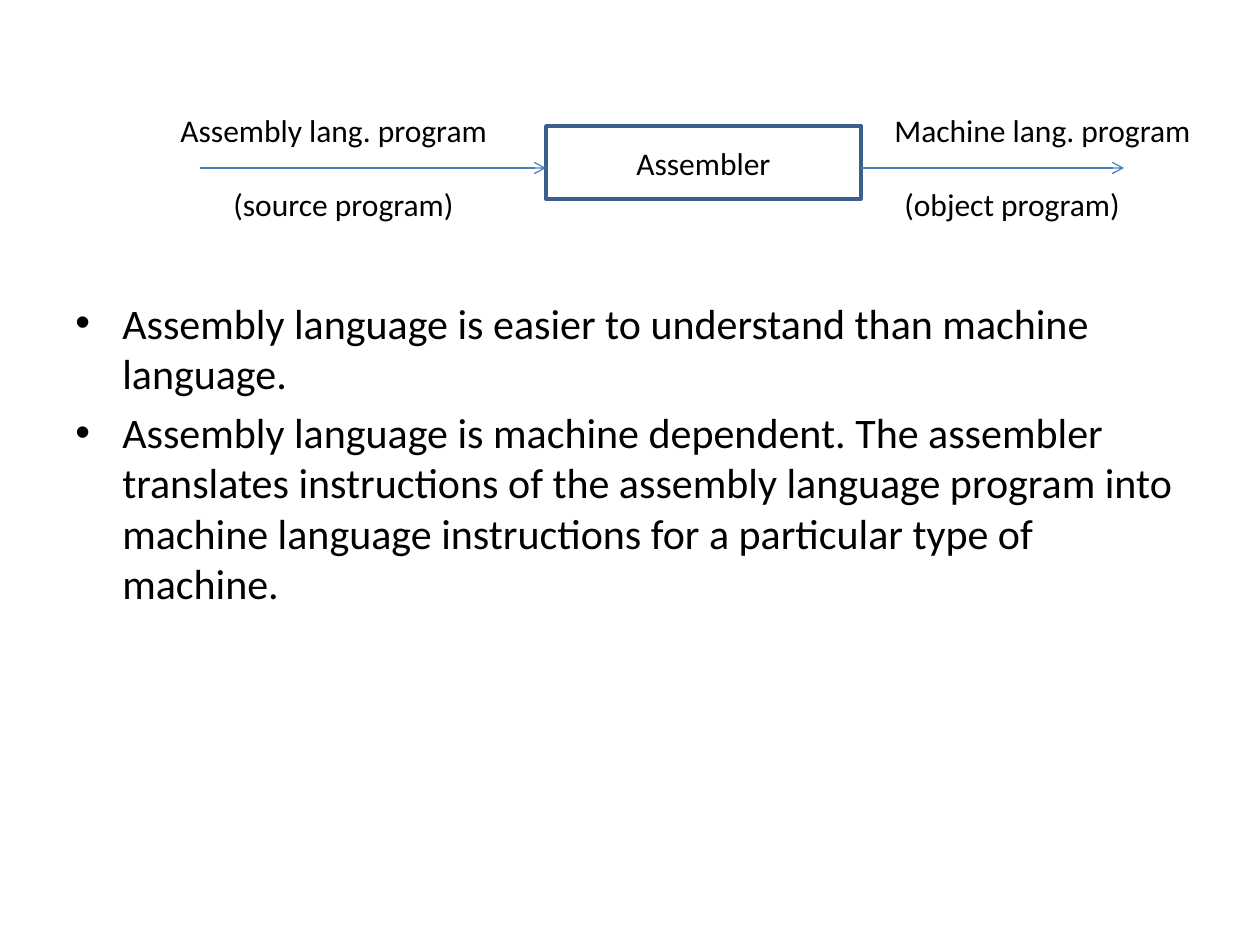
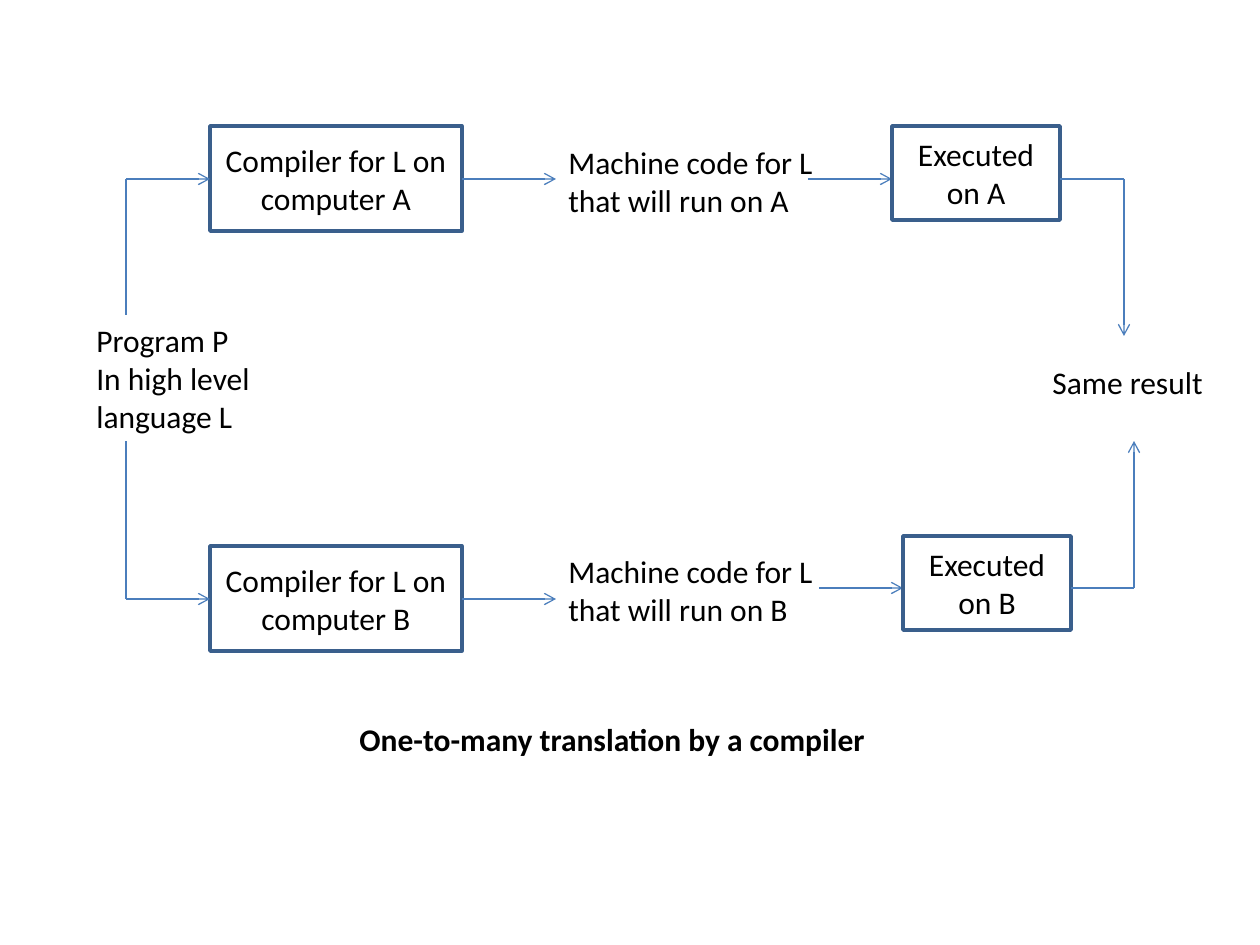
from dataclasses import dataclass

from lxml import etree
from pptx import Presentation
from pptx.dml.color import RGBColor
from pptx.enum.shapes import MSO_CONNECTOR, MSO_SHAPE
from pptx.enum.text import MSO_ANCHOR, PP_ALIGN
from pptx.oxml.ns import qn
from pptx.util import Emu, Pt

EMU_PER_PX = 914400 / 126
FONT = "Calibri"
TEXT, PAPER, BORDER, ARROW = "000000", "FFFFFF", "3A5F8C", "4B7EBC"
LABEL_SIZE, BODY_SIZE = 18, 24
LABEL_HEIGHT = 50
BULLET_INDENT = 47


@dataclass(frozen=True)
class Box:
    text: str
    x: int
    y: int
    w: int
    h: int


@dataclass(frozen=True)
class Label:
    text: str
    x: int
    y: int
    w: int
    h: int = LABEL_HEIGHT
    bold: bool = False


@dataclass(frozen=True)
class Line:
    x1: int
    y1: int
    x2: int
    y2: int
    arrow: bool = True


def px(value: float) -> Emu:
    return Emu(round(value * EMU_PER_PX))


def color(hex_code: str) -> RGBColor:
    return RGBColor.from_string(hex_code)


def write(frame, text: str, size: int = LABEL_SIZE, bold: bool = False) -> None:
    """Fill a text frame, one paragraph per line of text."""
    frame.word_wrap = True
    for i, line in enumerate(text.split("\n")):
        paragraph = frame.paragraphs[0] if i == 0 else frame.add_paragraph()
        run = paragraph.add_run()
        run.text = line
        run.font.name = FONT
        run.font.size = Pt(size)
        run.font.bold = bold
        run.font.color.rgb = color(TEXT)


def draw_box(slide, box: Box) -> None:
    shape = slide.shapes.add_shape(
        MSO_SHAPE.RECTANGLE, px(box.x), px(box.y), px(box.w), px(box.h))
    shape.shadow.inherit = False
    shape.fill.solid()
    shape.fill.fore_color.rgb = color(PAPER)
    shape.line.color.rgb = color(BORDER)
    shape.line.width = Pt(2)
    write(shape.text_frame, box.text)
    shape.text_frame.vertical_anchor = MSO_ANCHOR.MIDDLE
    for paragraph in shape.text_frame.paragraphs:
        paragraph.alignment = PP_ALIGN.CENTER


def draw_label(slide, label: Label) -> None:
    shape = slide.shapes.add_textbox(
        px(label.x), px(label.y), px(label.w), px(label.h))
    write(shape.text_frame, label.text, bold=label.bold)


def draw_line(slide, line: Line) -> None:
    connector = slide.shapes.add_connector(
        MSO_CONNECTOR.STRAIGHT,
        px(line.x1), px(line.y1), px(line.x2), px(line.y2))
    connector.line.color.rgb = color(ARROW)
    connector.line.width = Pt(0.75)
    if line.arrow:
        outline = connector.line._get_or_add_ln()
        etree.SubElement(outline, qn("a:tailEnd")).set("type", "arrow")
    etree.SubElement(connector._element.spPr, qn("a:effectLst"))


def draw_bullets(slide, items: list[str], x: int, y: int, w: int, h: int) -> None:
    frame = slide.shapes.add_textbox(px(x), px(y), px(w), px(h)).text_frame
    write(frame, "\n".join(items), BODY_SIZE)
    for paragraph in frame.paragraphs:
        paragraph.space_before = Pt(BODY_SIZE * 0.2)
        props = paragraph._p.get_or_add_pPr()
        props.set("marL", str(px(BULLET_INDENT)))
        props.set("indent", str(-px(BULLET_INDENT)))
        etree.SubElement(props, qn("a:buFont")).set("typeface", "Arial")
        etree.SubElement(props, qn("a:buChar")).set("char", "•")


DRAW = {Box: draw_box, Label: draw_label, Line: draw_line}


def draw_all(slide, parts: list[Box | Label | Line]) -> None:
    for part in parts:
        DRAW[type(part)](slide, part)


def compiler_row(computer: str, compiler_y: int, flow_y: int, code_y: int,
                 run_x: int, run_y: int, run_flow_y: int,
                 result_x: int, result_y: int) -> list[Box | Label | Line]:
    """One path from the program through a computer to the result."""
    run_w = 168
    return [
        Box(f"Compiler for L on computer {computer}", 210, compiler_y, 252, 105),
        Line(126, flow_y, 210, flow_y),
        Line(462, flow_y, 556, flow_y),
        Label(f"Machine code for L that will run on {computer}",
              556, code_y, 273, 126),
        Line(run_x - 84, run_flow_y, run_x, run_flow_y),
        Box(f"Executed on {computer}", run_x, run_y, run_w, 94),
        Line(run_x + run_w, run_flow_y, result_x, run_flow_y, arrow=False),
        Line(result_x, run_flow_y, result_x, result_y),
    ]


prs = Presentation()
prs.slide_width, prs.slide_height = px(1260), px(945)
blank = prs.slide_layouts[6]

# Slide 1: what an assembler does
assembler = prs.slides.add_slide(blank)
draw_bullets(assembler, [
    "Assembly language is easier to understand than machine language.",
    "Assembly language is machine dependent. The assembler translates "
    "instructions of the assembly language program into machine language "
    "instructions for a particular type of machine.",
], 63, 291, 1134, 570)
draw_all(assembler, [
    Box("Assembler", 546, 126, 315, 73),
    Line(200, 168, 546, 168),
    Line(861, 168, 1124, 168),
    Label("Assembly lang. program", 168, 105, 336),
    Label("Machine lang. program", 882, 105, 336),
    Label("(source program)", 221, 179, 252),
    Label("(object program)", 892, 179, 252),
])

# Slide 2: one program compiled for two computers
compiler = prs.slides.add_slide(blank)
draw_all(compiler, [
    *compiler_row("A", compiler_y=126, flow_y=179, code_y=137, run_x=892,
                  run_y=126, run_flow_y=179, result_x=1124, result_y=336),
    *compiler_row("B", compiler_y=546, flow_y=599, code_y=546, run_x=903,
                  run_y=536, run_flow_y=588, result_x=1134, result_y=441),
    Line(126, 179, 126, 315, arrow=False),
    Label("Program P\nIn high level language L", 84, 315, 262, 127),
    Line(126, 441, 126, 599, arrow=False),
    Label("Same result", 1040, 357, 179),
    Label("One-to-many translation by a compiler", 347, 714, 536, bold=True),
])

prs.save("out.pptx")
